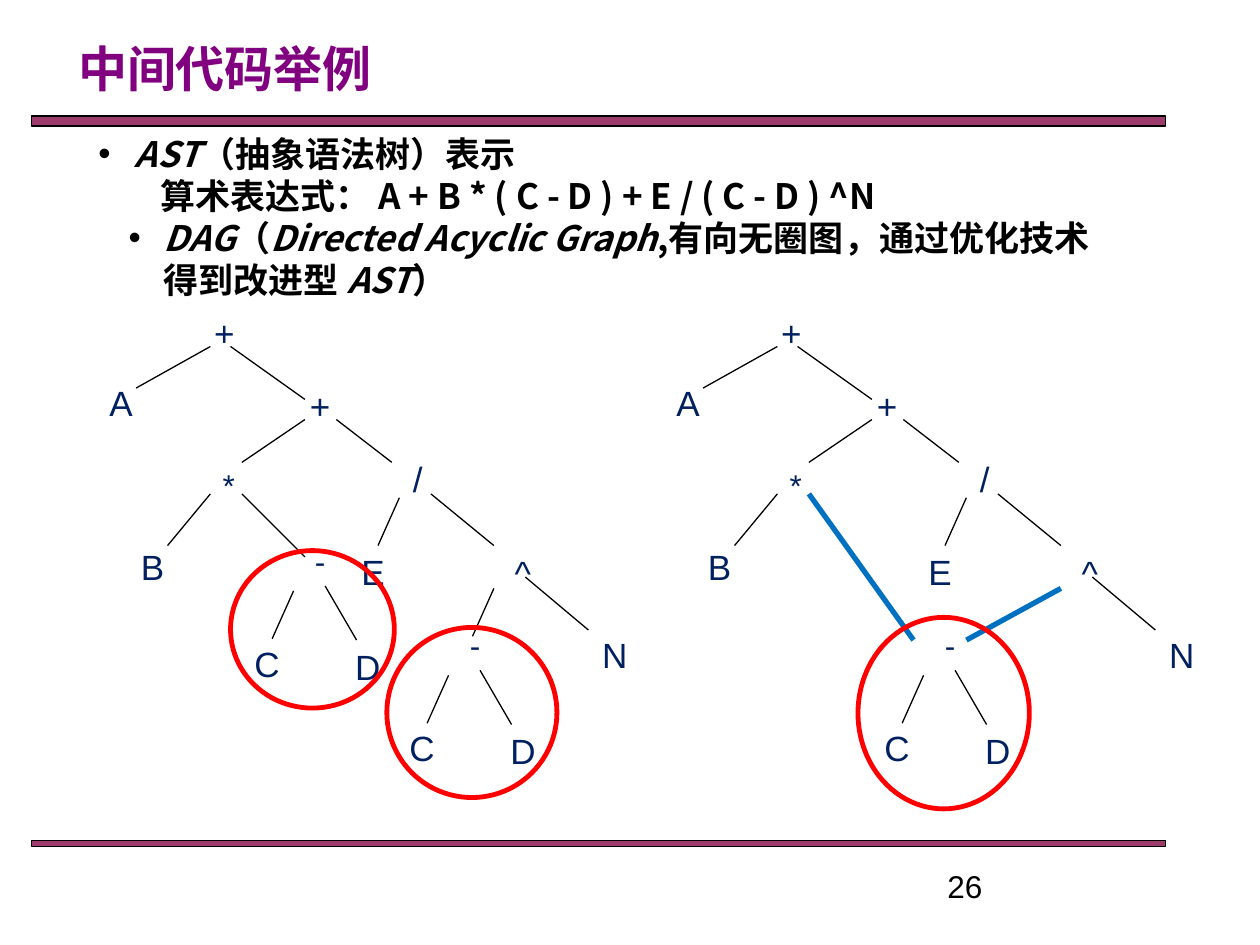
from lxml import etree
from pptx import Presentation
from pptx import util as u
from pptx.dml.color import RGBColor
from pptx.enum import shapes, text
from pptx.oxml.ns import qn

COLORS = {"title": "800080", "body": "000000", "node": "002060", "bar": "993366",
          "edge": "000000", "shared": "0070C0", "circle": "FF0000"}
CJK, LATIN = "Noto Sans CJK SC", "Arial"

TITLE = "中间代码举例"
# left margin, first-line indent, bullet, [(text, italic)]
BODY = [
    (0.55, -0.29, "•", [("AST", True), ("（抽象语法树）表示", False)]),
    (0.75, 0, None, [("算术表达式： A + B * ( C - D ) + E / ( C - D ) ^N", False)]),
    (0.78, -0.28, "•", [("DAG", True), ("（", False), ("Directed Acyclic Graph", True),
                        (",有向无圈图，通过优化技术得到改进型 ", False),
                        ("AST", True), ("）", False)]),
]
BARS = [(0.92, 0.08), (6.67, 0.05)]  # top, height
PAGE_NUMBER = "26"

# Nodes: label, left, top, width. Edges: start x, y, end x, y.
TREE_NODES = [("^", 3.89, 4.33, 0.52), ("+", 1.56, 2.42, 0.44), ("+", 2.33, 3, 0.42),
              ("/", 3.13, 3.58, 0.37), ("A", 0.75, 2.98, 0.42), ("*", 1.63, 3.65, 0.37),
              ("E", 2.75, 4.32, 0.42), ("B", 1, 4.28, 0.42), ("N", 4.67, 4.98, 0.42)]
TREE_EDGES = [(1.08, 3.08, 1.67, 2.75), (1.83, 2.75, 2.42, 3.17), (2.42, 3.33, 1.92, 3.67),
              (2.67, 3.33, 3.11, 3.67), (3.42, 3.92, 3.92, 4.33), (3.17, 3.95, 3, 4.33),
              (1.67, 3.92, 1.33, 4.33), (4.17, 4.58, 4.67, 5)]
# The subtree C - D, measured from the corner of its "-" label
MINUS_NODES = [("-", 0, 0, 0.42), ("C", -0.42, 0.8, 0.42), ("D", 0.33, 0.82, 0.52)]
MINUS_EDGES = [(0.25, 0.4, 0.5, 0.83), (0, 0.44, -0.17, 0.82)]
SMALL_LABELS = "*-"

TREES = [
    {"left": 0, "minus": [(2.33, 4.25), (3.56, 4.92)],
     "links": [(1.92, 3.92, 2.42, 4.42), (3.92, 4.67, 3.75, 5.05)],
     "link_color": "edge", "link_width": 0.75,
     "circles": [(1.83, 4.37, 1.3, 1.25), (3.07, 4.98, 1.35, 1.35)]},
    {"left": 4.5, "minus": [(2.83, 4.92)],
     "links": [(1.92, 3.92, 2.75, 5.08), (3.92, 4.67, 3.17, 5.08)],
     "link_color": "shared", "link_width": 3,
     "circles": [(2.31, 4.9, 1.36, 1.52)]},
]


def rgb(name):
    return RGBColor.from_string(COLORS[name])


def add_run(paragraph, content, size=20, color="body", font=CJK, bold=False, italic=False):
    run = paragraph.add_run()
    run.text = content
    run.font.size = u.Pt(size)
    run.font.name = font
    run.font.bold, run.font.italic = bold, italic
    run.font.color.rgb = rgb(color)
    east_asian = etree.SubElement(run.font._element, qn("a:ea"))
    east_asian.set("typeface", font)


def place(shape, left, top, width, height):
    shape.left, shape.top = u.Inches(left), u.Inches(top)
    shape.width, shape.height = u.Inches(width), u.Inches(height)


def set_bullet(paragraph, margin, indent, bullet):
    properties = paragraph._p.get_or_add_pPr()
    properties.set("marL", str(u.Inches(margin)))
    properties.set("indent", str(u.Inches(indent)))
    if bullet:
        font = etree.SubElement(properties, qn("a:buFont"))
        font.set("typeface", LATIN)
        etree.SubElement(properties, qn("a:buChar")).set("char", bullet)
    else:
        etree.SubElement(properties, qn("a:buNone"))


def add_label(slide, content, left, top, width, height=0.43,
              align=text.PP_ALIGN.CENTER, **run_format):
    box = slide.shapes.add_textbox(*map(u.Inches, (left, top, width, height)))
    box.text_frame.word_wrap = True
    paragraph = box.text_frame.paragraphs[0]
    paragraph.alignment = align
    add_run(paragraph, content, font=LATIN, **run_format)


def add_nodes(slide, nodes, left, top):
    for content, x, y, width in nodes:
        small = content in SMALL_LABELS
        add_label(slide, content, left + x, top + y, width, 0.4 if small else 0.43,
                  size=18 if small else 20, color="node")


def add_edges(slide, edges, left, top, color="edge", width=0.75):
    for x1, y1, x2, y2 in edges:
        edge = slide.shapes.add_connector(
            shapes.MSO_CONNECTOR.STRAIGHT,
            *map(u.Inches, (left + x1, top + y1, left + x2, top + y2)))
        edge.line.color.rgb = rgb(color)
        edge.line.width = u.Pt(width)
        etree.SubElement(edge._element.spPr, qn("a:effectLst"))


def add_outlined(slide, kind, box, color, width):
    shape = slide.shapes.add_shape(kind, *map(u.Inches, box))
    shape.shadow.inherit = False
    shape.fill.background()
    shape.line.color.rgb = rgb(color)
    shape.line.width = u.Pt(width)
    return shape


def add_bars(slide):
    for top, height in BARS:
        bar = add_outlined(slide, shapes.MSO_SHAPE.RECTANGLE, (0.25, top, 9, height),
                           "edge", 0.75)
        bar.fill.solid()
        bar.fill.fore_color.rgb = rgb("bar")
        color = bar._element.spPr.find(".//" + qn("a:srgbClr"))
        etree.SubElement(color, qn("a:alpha")).set("val", "96000")


def fill_title(title):
    place(title, 0.52, 0.25, 7.7, 0.57)
    frame = title.text_frame
    frame.auto_size = text.MSO_AUTO_SIZE.NONE
    frame.vertical_anchor = text.MSO_ANCHOR.MIDDLE
    frame.paragraphs[0].alignment = text.PP_ALIGN.LEFT
    add_run(frame.paragraphs[0], TITLE, size=28, color="title", bold=True)


def fill_body(body):
    place(body, 0.42, 1, 8.58, 1.45)
    frame = body.text_frame
    frame.auto_size = text.MSO_AUTO_SIZE.NONE
    for index, (margin, indent, bullet, runs) in enumerate(BODY):
        paragraph = frame.add_paragraph() if index else frame.paragraphs[0]
        paragraph.level = 1
        paragraph.line_spacing = u.Pt(24)
        paragraph.space_before = u.Pt(0)
        set_bullet(paragraph, margin, indent, bullet)
        for content, italic in runs:
            add_run(paragraph, content, bold=True, italic=italic)


def add_tree(slide, tree):
    left = tree["left"]
    add_nodes(slide, TREE_NODES, left, 0)
    add_edges(slide, TREE_EDGES, left, 0)
    add_edges(slide, tree["links"], left, 0, tree["link_color"], tree["link_width"])
    for x, y in tree["minus"]:
        add_nodes(slide, MINUS_NODES, left + x, y)
        add_edges(slide, MINUS_EDGES, left + x, y)
    for x, y, width, height in tree["circles"]:
        add_outlined(slide, shapes.MSO_SHAPE.OVAL, (left + x, y, width, height),
                     "circle", 2.75)


def main():
    presentation = Presentation()
    presentation.slide_width, presentation.slide_height = u.Inches(10), u.Inches(7.5)
    slide = presentation.slides.add_slide(presentation.slide_layouts[1])
    add_bars(slide)
    fill_title(slide.shapes.title)
    fill_body(slide.placeholders[1])
    for tree in TREES:
        add_tree(slide, tree)
    add_label(slide, PAGE_NUMBER, 7.42, 6.83, 2.33, 0.27,
              align=text.PP_ALIGN.LEFT, size=18)
    presentation.save("out.pptx")


if __name__ == "__main__":
    main()
